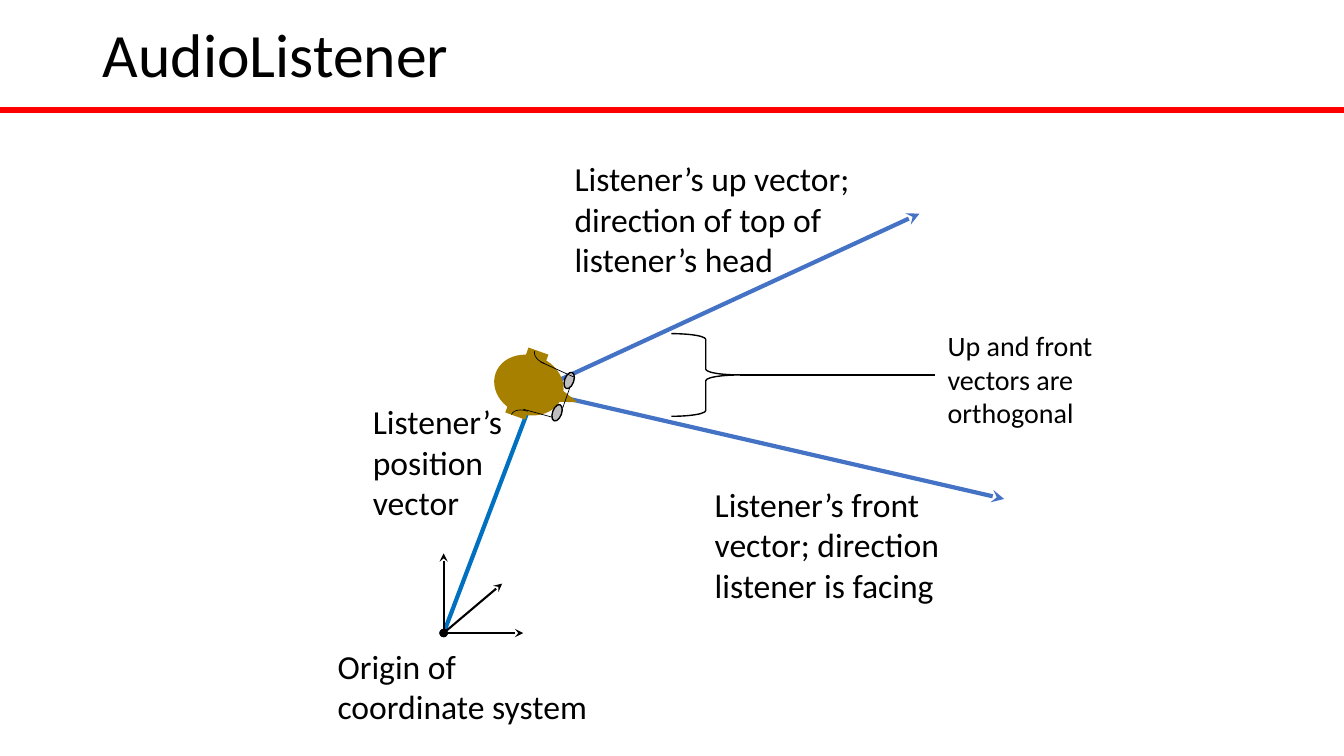
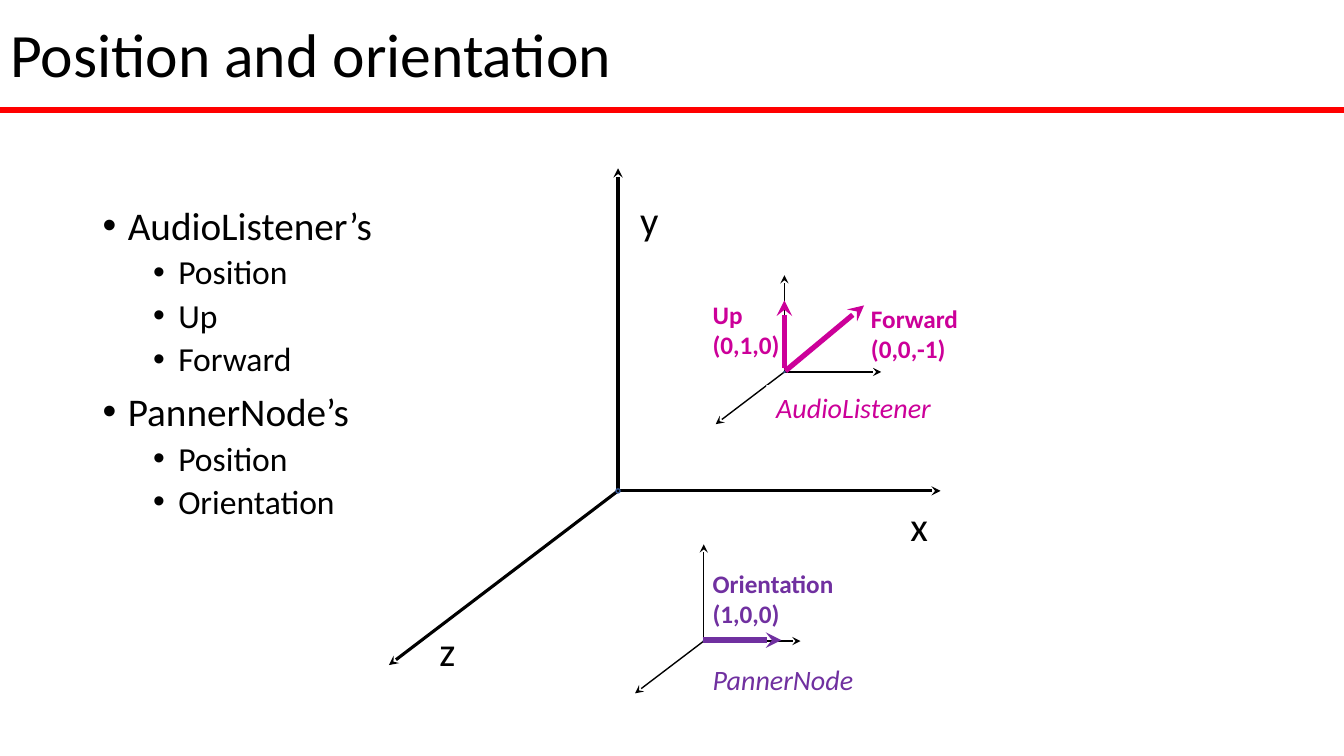
"""Build two slides on the audio listener's position and orientation."""
import dataclasses

import pptx
import pptx.dml.color
import pptx.enum.shapes
import pptx.enum.text
import pptx.oxml
import pptx.oxml.ns
import pptx.util
from lxml import etree

Inches = pptx.util.Inches
Pt = pptx.util.Pt
RGB = pptx.dml.color.RGBColor.from_string
SHAPE = pptx.enum.shapes.MSO_SHAPE
qn = pptx.oxml.ns.qn


@dataclasses.dataclass(frozen=True)
class Theme:
    font: str = "Calibri"
    black: str = "000000"
    white: str = "FFFFFF"
    rule: str = "FF0000"
    vector: str = "4472C4"
    position: str = "0070C0"
    skin: str = "A88000"
    cup: str = "BFBFBF"
    dot: str = "325491"
    listener: str = "CC0099"
    panner: str = "7030A0"
    title: int = 44
    axis: int = 29
    topic: int = 28
    body: int = 24
    small: int = 20
    value: int = 18


theme = Theme()


def write(sp, text, size=theme.body, color=theme.black, bold=False, italic=False, spacing=1.0):
    tf = sp.text_frame
    tf.word_wrap = True
    tf.text = text
    for p in tf.paragraphs:
        p.alignment = pptx.enum.text.PP_ALIGN.LEFT
        p.line_spacing = spacing
        for r in p.runs:
            r.font.name = theme.font
            r.font.size = Pt(size)
            r.font.bold = bold
            r.font.italic = italic
            r.font.color.rgb = RGB(color)
    return sp


def draw_line(shapes, start, end, color=theme.black, width=1, head=None, tail=None):
    points = [Inches(v) for v in (*start, *end)]
    line = shapes.add_connector(pptx.enum.shapes.MSO_CONNECTOR.STRAIGHT, *points)
    line.line.color.rgb = RGB(color)
    line.line.width = Pt(width)
    spPr = line._element.spPr
    for tag, kind in (("a:headEnd", head), ("a:tailEnd", tail)):
        if kind:
            etree.SubElement(spPr.get_or_add_ln(), qn(tag), type=kind)
    etree.SubElement(spPr, qn("a:effectLst"))


prs = pptx.Presentation()
prs.slide_width = Inches(13.33)
prs.slide_height = Inches(7.5)

for title, left, width in (("AudioListener", 0.92, 11.5), ("Position and orientation", 0, 7.55)):
    s = prs.slides.add_slide(prs.slide_layouts[5])
    draw_line(s.shapes, (0, 1.09), (13.33, 1.09), theme.rule, 4.5)
    sp = s.shapes.title
    sp.left, sp.top, sp.width, sp.height = map(Inches, (left, 0.06, width, 1.03))
    write(sp, title, theme.title, spacing=0.9)
    sp.text_frame.vertical_anchor = pptx.enum.text.MSO_ANCHOR.MIDDLE
    sp.text_frame.auto_size = pptx.enum.text.MSO_AUTO_SIZE.NONE

listener_slide, orientation_slide = prs.slides

s = listener_slide
ear_point = (5.31, 3.88)
origin = (4.4, 6.28)
for end in ((9.96, 4.95), (9.12, 2.12)):
    draw_line(s.shapes, ear_point, end, theme.vector, 3, "oval", "stealth")
draw_line(s.shapes, origin, ear_point, theme.position, 3, tail="stealth")
for end in ((4.4, 5.49), (5.19, 6.28), (4.98, 5.79)):
    draw_line(s.shapes, origin, end, width=1.5, head="oval", tail="stealth")

captions = (
    ("Listener’s front vector; direction listener is facing", (6.99, 4.75, 2.8, 1.31), theme.body),
    ("Up and front vectors are orthogonal", (9.3, 3.21, 1.98, 1.11), theme.small),
    ("Listener’s position vector", (3.6, 3.93, 1.67, 1.31), theme.body),
    ("Origin of coordinate system", (3.25, 6.36, 2.69, 0.91), theme.body),
    ("Listener’s up vector; direction of top of listener’s head", (5.6, 1.52, 3.14, 1.31), theme.body),
)
for text, box, size in captions:
    write(s.shapes.add_textbox(*map(Inches, box)), text, size)

brace = s.shapes.add_shape(SHAPE.RIGHT_BRACE, *map(Inches, (6.66, 3.31, 0.68, 0.82)))
brace.shadow.inherit = False
brace.fill.background()
brace.line.color.rgb = RGB(theme.black)
brace.line.width = Pt(1)
draw_line(s.shapes, (7.34, 3.72), (9.27, 3.72))

head = s.shapes.add_group_shape()
head_parts = (
    (SHAPE.OVAL, (4.95, 3.47, 0.59, 0.7), theme.skin, 0, ()),
    (SHAPE.RECTANGLE, (5.08, 3.98, 0.09, 0.21), theme.skin, 0, ()),
    (SHAPE.RECTANGLE, (5.28, 3.42, 0.09, 0.21), theme.skin, 0, ()),
    (SHAPE.ISOSCELES_TRIANGLE, (5.56, 3.85, 0.14, 0.21), theme.skin, 0, ()),
    (SHAPE.OVAL, (5.56, 3.73, 0.17, 0.09), theme.cup, 1, ()),
    (SHAPE.OVAL, (5.44, 4.05, 0.17, 0.09), theme.cup, 1, ()),
    (SHAPE.ARC, (5.12, 4.02, 0.17, 0.28), None, 0.5, ("flipH", "flipV")),
    (SHAPE.ARC, (5.35, 3.39, 0.17, 0.28), None, 0.5, ("flipV",)),
)
for kind, box, fill, width, flips in head_parts:
    sp = head.shapes.add_shape(kind, *map(Inches, box))
    sp.shadow.inherit = False
    sp.rotation = 109.7
    for flip in flips:
        sp._element.spPr.xfrm.set(flip, "1")
    if fill:
        sp.fill.solid()
        sp.fill.fore_color.rgb = RGB(fill)
    else:
        sp.fill.background()
    if width:
        sp.line.color.rgb = RGB(theme.black)
        sp.line.width = Pt(width)
    else:
        sp.line.fill.background()
for start, end in (((5.65, 3.85), (5.58, 4.05)), ((5.69, 3.74), (5.36, 3.59)), ((5.48, 4.14), (5.19, 4.06))):
    draw_line(head.shapes, start, end, width=0.5)

s = orientation_slide
topics = (("AudioListener’s", ("Position", "Up", "Forward")), ("PannerNode’s", ("Position", "Orientation")))
items = [(level, text) for topic, details in topics
         for level, text in ((0, topic), *((1, detail) for detail in details))]
sp = s.shapes.add_textbox(*map(Inches, (0.92, 2, 11.5, 4.76)))
write(sp, "\n".join(text for level, text in items), spacing=0.9)
for i, (p, (level, text)) in enumerate(zip(sp.text_frame.paragraphs, items)):
    p.level = level
    p.space_before = Pt((10, 5)[level] if i else 0)
    pPr = p._p.get_or_add_pPr()
    pPr.set("marL", str(Inches(0.25 + 0.5 * level)))
    pPr.set("indent", str(Inches(-0.25)))
    etree.SubElement(pPr, qn("a:buFont"), typeface="Arial")
    etree.SubElement(pPr, qn("a:buChar"), char="•")
    p.runs[0].font.size = Pt((theme.topic, theme.body)[level])

for x, y, length, width, dot in ((6.13, 4.87, 3.2, 2.25, 0.04), (7.78, 3.69, 0.96, 1, 0.01), (6.98, 6.36, 0.96, 1, 0.01)):
    for dx, dy in ((0, -1), (1, 0), (-0.71, 0.54)):
        draw_line(s.shapes, (x, y), (x + dx * length, y + dy * length), width=width, tail="stealth")
    sp = s.shapes.add_shape(SHAPE.OVAL, *map(Inches, (x - dot / 2, y - dot / 2, dot, dot)))
    sp.shadow.inherit = False
    sp.fill.solid()
    sp.fill.fore_color.rgb = RGB(theme.black)
    sp.line.color.rgb = RGB(theme.dot)
    sp.line.width = Pt(1)

for text, left, top in (("x", 8.93, 4.92), ("z", 4.26, 6.16), ("y", 6.25, 1.88)):
    write(s.shapes.add_textbox(*map(Inches, (left, top, 0.77, 0.59))), text, theme.axis)

vector_labels = (
    ("Up\n(0,1,0)", (6.97, 2.92, 1.07, 0.71), theme.listener),
    ("Forward\n(0,0,-1)", (8.54, 2.96, 1.66, 0.71), theme.listener),
    ("Orientation\n(1,0,0)", (6.97, 5.59, 1.66, 0.71), theme.panner),
)
for text, box, color in vector_labels:
    write(s.shapes.add_textbox(*map(Inches, box)), text, theme.value, color, bold=True)

vectors = (
    ((7.79, 3.68), (8.57, 3.03), theme.listener),
    ((7.78, 3.65), (7.78, 2.98), theme.listener),
    ((6.97, 6.35), (7.75, 6.35), theme.panner),
)
for start, end, color in vectors:
    draw_line(s.shapes, start, end, color, 3.75, tail="stealth")

for text, left, top, color in (("AudioListener", 7.6, 3.82, theme.listener), ("PannerNode", 6.97, 6.52, theme.panner)):
    sp = s.shapes.add_textbox(*map(Inches, (left, top, 1.88, 0.44)))
    sp.fill.solid()
    sp.fill.fore_color.rgb = RGB(theme.white)
    write(sp, text, theme.small, color, italic=True)

prs.save("out.pptx")
